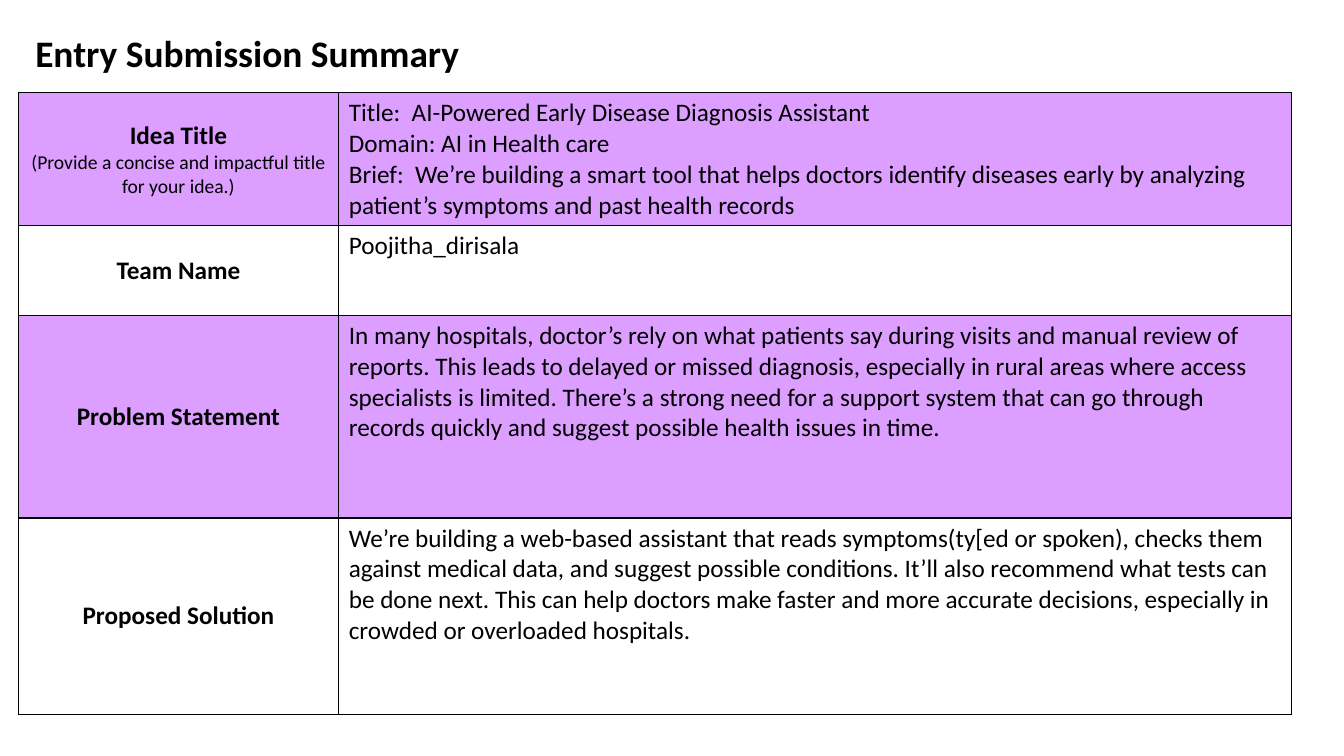
from dataclasses import dataclass
from lxml.etree import SubElement as Sub
from pptx import Presentation
from pptx.dml.color import RGBColor as Color
from pptx.enum.text import MSO_ANCHOR as Anchor, PP_ALIGN as Align
from pptx.oxml.ns import qn
from pptx.util import Inches, Pt


@dataclass(frozen=True)
class Theme:
    font: str = "Calibri"
    ink: str = "000000"
    tint: str = "DD9FFF"
    plain: str = "FFFFFF"
    head: float = 26.7
    body: float = 18
    hint: float = 14
    rule: float = 1


theme = Theme()
cols = (3.18, 9.45)
rows = (
    (1.32, "Idea Title", "(Provide a concise and impactful title for your idea.)", (
        "Title:  AI-Powered Early Disease Diagnosis Assistant",
        "Domain: AI in Health care",
        "Brief:  We’re building a smart tool that helps doctors identify diseases early "
        "by analyzing patient’s symptoms and past health records",
    )),
    (0.89, "Team Name", "", ("Poojitha_dirisala",)),
    (2.01, "Problem Statement", "", (
        "In many hospitals, doctor’s rely on what patients say during visits and manual "
        "review of reports. This leads to delayed or missed diagnosis, especially in rural "
        "areas where access specialists is limited. There’s a strong need for a support "
        "system that can go through records quickly and suggest possible health issues in time.",
    )),
    (1.95, "Proposed Solution", "", (
        "We’re building a web-based assistant that reads symptoms(ty[ed or spoken), checks "
        "them against medical data, and suggest possible conditions. It’ll also recommend "
        "what tests can be done next. This can help doctors make faster and more accurate "
        "decisions, especially in crowded or overloaded hospitals.",
    )),
)


def write(para, text, size, bold=False):
    run = para.add_run()
    run.text = text
    font = run.font
    font.name, font.size, font.bold = theme.font, Pt(size), bold
    font.color.rgb = Color.from_string(theme.ink)


def style(cell, fill):
    props = cell._tc.get_or_add_tcPr()
    for side in ("lnL", "lnR", "lnT", "lnB"):
        line = Sub(props, qn(f"a:{side}"), w=str(Pt(theme.rule)))
        Sub(Sub(line, qn("a:solidFill")), qn("a:srgbClr"), val=theme.ink)
    cell.fill.solid()
    cell.fill.fore_color.rgb = Color.from_string(fill)


def label(cell, name, hint):
    cell.vertical_anchor = Anchor.MIDDLE
    para = cell.text_frame.paragraphs[0]
    para.alignment = Align.CENTER
    write(para, name, theme.body, True)
    if hint:
        para.add_line_break()
        write(para, hint, theme.hint)


def answer(cell, lines):
    frame = cell.text_frame
    for i, text in enumerate(lines):
        para = frame.add_paragraph() if i else frame.paragraphs[0]
        write(para, text, theme.body)


def title(slide, box, text):
    frame = slide.shapes.add_textbox(*box).text_frame
    frame.word_wrap = True
    frame.margin_left = frame.margin_top = frame.margin_bottom = 0
    frame.margin_right = Inches(0.13)
    para = frame.paragraphs[0]
    para.line_spacing = 0.8
    write(para, text, theme.head, True)


def summary(slide, box):
    table = slide.shapes.add_table(len(rows), len(cols), *box).table
    table.first_row = table.horz_banding = False
    width, height = box[2:]
    for col, share in zip(table.columns, cols):
        col.width = int(width * share / sum(cols))
    total = sum(row[0] for row in rows)
    for i, (share, name, hint, lines) in enumerate(rows):
        table.rows[i].height = int(height * share / total)
        left, right = table.rows[i].cells
        for cell in (left, right):
            style(cell, theme.plain if i % 2 else theme.tint)
        label(left, name, hint)
        answer(right, lines)


def main():
    deck = Presentation()
    deck.slide_width, deck.slide_height = Inches(13.33), Inches(7.5)
    slide = deck.slides.add_slide(deck.slide_layouts[6])
    title(slide, [Inches(n) for n in (0.35, 0.39, 12.29, 0.93)], "Entry Submission Summary")
    summary(slide, [Inches(n) for n in (0.18, 0.92, sum(cols), 6.17)])
    deck.save("out.pptx")


if __name__ == "__main__":
    main()
